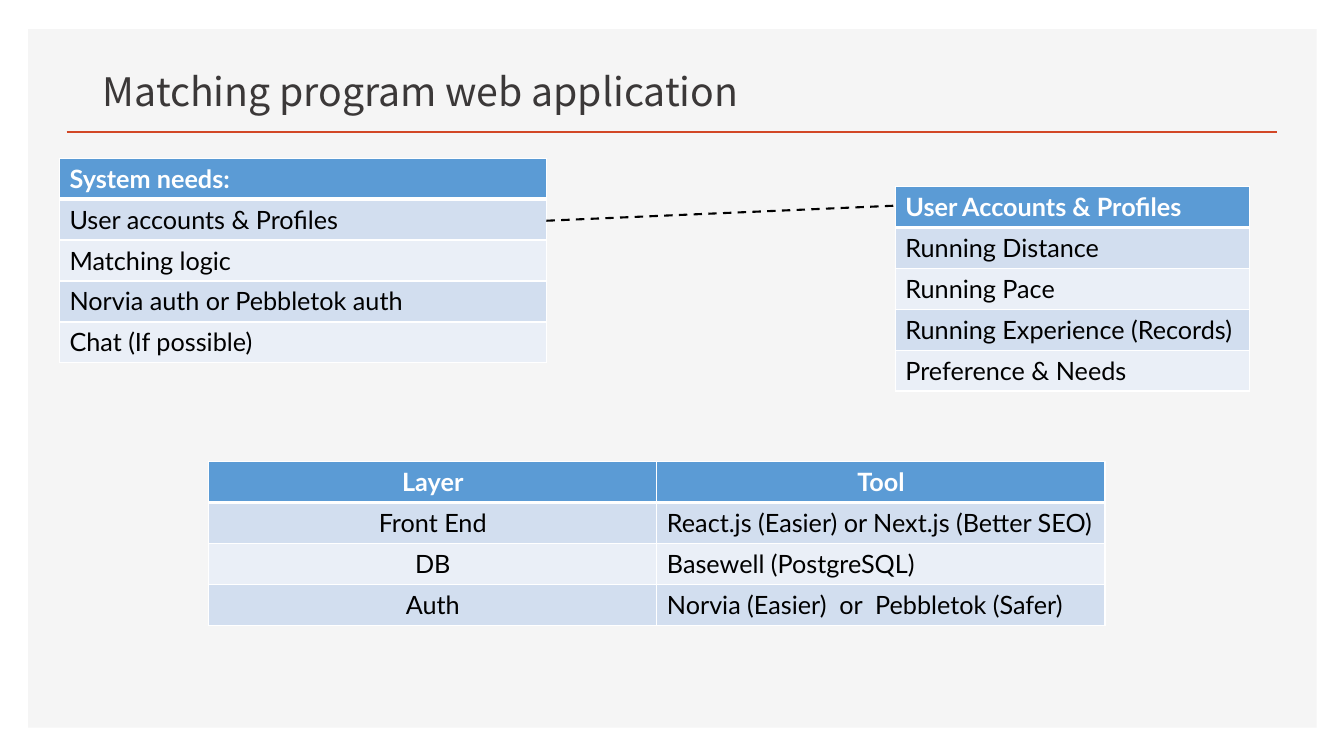
"""Build the slide on the matching program web application."""
from lxml.etree import SubElement
from pptx import Presentation
from pptx.dml.color import RGBColor
from pptx.enum.dml import MSO_LINE
from pptx.enum.shapes import MSO_CONNECTOR, MSO_SHAPE
from pptx.enum.text import MSO_ANCHOR, PP_ALIGN
from pptx.oxml.ns import qn
from pptx.util import Inches, Pt

HEADER_FILL = "5B9BD5"
BAND_FILLS = ["EAEFF7", "D2DEEF"]
ROW_HEIGHT = 0.406


def paint(color_format, value):
    color_format.rgb = RGBColor.from_string(value)


def add_rule(slide, start, end, color, width):
    line = slide.shapes.add_connector(
        MSO_CONNECTOR.STRAIGHT, *[Inches(value) for value in start + end])
    paint(line.line.color, color)
    line.line.width = Pt(width)
    SubElement(line.element.spPr, qn("a:effectLst"))
    return line


presentation = Presentation()
presentation.slide_width = Inches(13.33)
presentation.slide_height = Inches(7.5)
slide = presentation.slides.add_slide(presentation.slide_layouts[5])

title = slide.shapes.title
title.left, title.top = Inches(0.57), Inches(0.49)
title.width, title.height = Inches(7.52), Inches(0.7)
title_frame = title.text_frame
title_frame.vertical_anchor = MSO_ANCHOR.BOTTOM
title_frame.margin_left = Inches(0.45)
title_paragraph = title_frame.paragraphs[0]
title_paragraph.alignment = PP_ALIGN.LEFT
title_paragraph.line_spacing = 0.9
title_run = title_paragraph.add_run()
title_run.text = "Matching program web application"
title_run.font.name = "Noto Sans CJK KR"
title_run.font.size = Pt(28)
paint(title_run.font.color, "3B3838")

panel = slide.shapes.add_shape(
    MSO_SHAPE.RECTANGLE, Inches(0.28), Inches(0.29), Inches(12.78), Inches(6.93))
panel.shadow.inherit = False
panel.fill.solid()
paint(panel.fill.fore_color, "F5F5F5")
panel.line.fill.background()
title.element.addprevious(panel.element)

add_rule(slide, (0.66, 1.31), (12.67, 1.31), "D24726", 2)

tables = [
    (0.59, 1.57, 4.83, [
        ["System needs:"],
        ["User accounts & Profiles"],
        ["Matching logic"],
        ["Norvia auth or Pebbletok auth"],
        ["Chat (If possible)"],
    ]),
    (8.88, 1.85, 3.51, [
        ["User Accounts & Profiles"],
        ["Running Distance"],
        ["Running Pace"],
        ["Running Experience (Records)"],
        ["Preference & Needs"],
    ]),
    (2.07, 4.58, 8.89, [
        ["Layer", "Tool"],
        ["Front End", "React.js (Easier) or Next.js (Better SEO)"],
        ["DB", "Basewell (PostgreSQL)"],
        ["Auth", "Norvia (Easier)  or  Pebbletok (Safer)"],
    ]),
]

for left, top, width, rows in tables:
    column_count = len(rows[0])
    table = slide.shapes.add_table(
        len(rows), column_count, Inches(left), Inches(top),
        Inches(width), Inches(ROW_HEIGHT * len(rows))).table
    for row_index, texts in enumerate(rows):
        is_header = row_index == 0
        table.rows[row_index].height = Inches(ROW_HEIGHT)
        for column_index, text in enumerate(texts):
            cell = table.cell(row_index, column_index)
            properties = cell._tc.get_or_add_tcPr()
            border_widths = {
                "L": 1, "R": 1,
                "T": 3 if row_index == 1 else 1,
                "B": 3 if is_header else 1,
            }
            for side, points in border_widths.items():
                border = SubElement(properties, qn(f"a:ln{side}"), w=str(Pt(points)))
                border_fill = SubElement(border, qn("a:solidFill"))
                SubElement(border_fill, qn("a:srgbClr"), val="FFFFFF")
            cell.fill.solid()
            paint(cell.fill.fore_color,
                  HEADER_FILL if is_header else BAND_FILLS[row_index % 2])
            paragraph = cell.text_frame.paragraphs[0]
            if column_count > 1 and (is_header or column_index == 0):
                paragraph.alignment = PP_ALIGN.CENTER
            run = paragraph.add_run()
            run.text = text
            run.font.name = "Lato"
            run.font.size = Pt(18)
            run.font.bold = is_header
            paint(run.font.color, "FFFFFF" if is_header else "000000")

profile_link = add_rule(slide, (5.42, 2.19), (8.89, 2.04), "000000", 1.5)
profile_link.line.dash_style = MSO_LINE.DASH

presentation.save("out.pptx")
